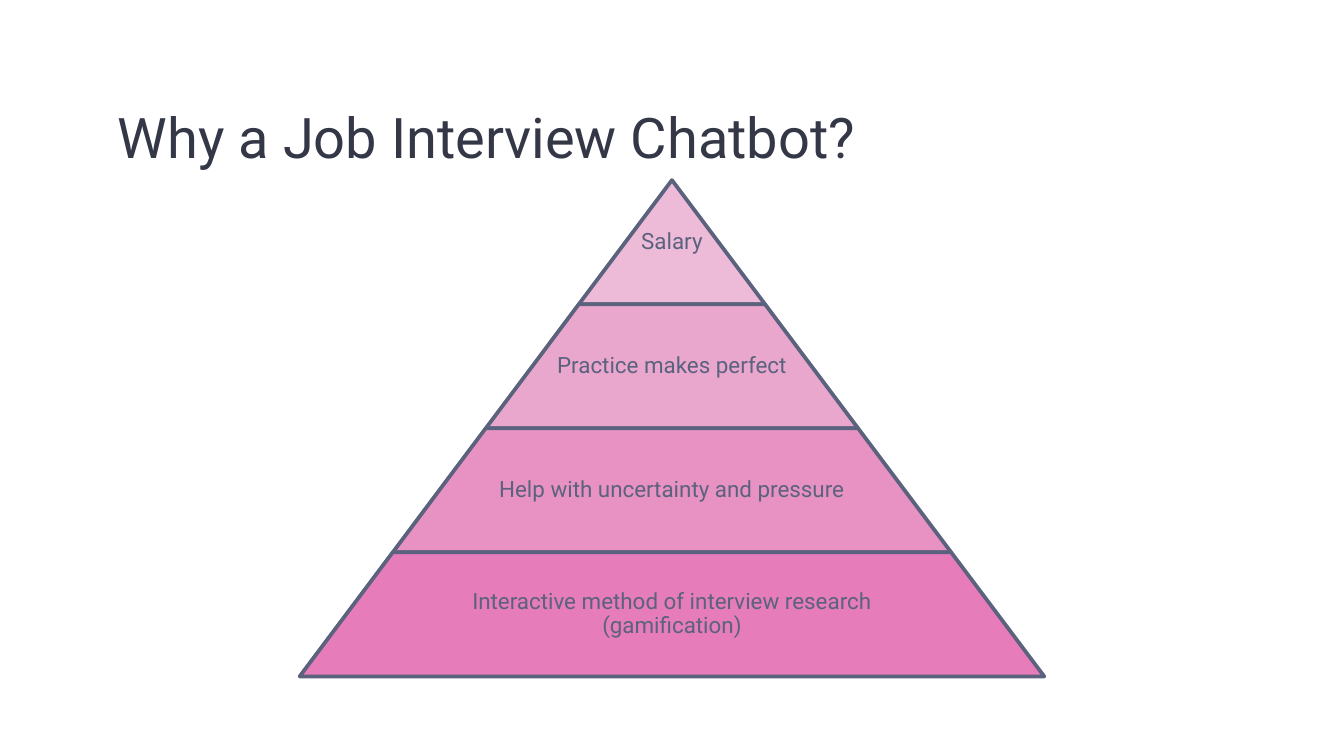
from pptx import Presentation
from pptx import util as u
from pptx.dml.color import RGBColor
from pptx.enum import shapes, text

TITLE = "Why a Job Interview Chatbot?"
# Label, fill, label width as a share of the tier's width
TIERS = [
    ("Salary", "EDBBD8", 1),
    ("Practice makes perfect", "EAA7CE", 0.65),
    ("Help with uncertainty and pressure", "E892C3", 0.65),
    ("Interactive method of interview research (gamification)", "E67CB9", 0.65),
]
FONT, TITLE_COLOR, TIER_COLOR = "Roboto", "333746", "5B627D"
SLIDE_W = 10
SLIDE_H = SLIDE_W * 9 / 16
CENTER, PYRAMID_TOP, BASE_W = SLIDE_W / 2, 1.34, 5.54
PYRAMID_H = BASE_W * 2 / 3
TIER_H = PYRAMID_H / len(TIERS)
STEP_W = BASE_W / len(TIERS)


def color(value):
    return RGBColor.from_string(value)


def add_text(parent, words, box, size, hue, inset, spacing, align, anchor):
    tf = parent.add_textbox(*map(u.Inches, box)).text_frame
    tf.word_wrap = True
    tf.vertical_anchor = anchor
    tf.margin_left = tf.margin_right = u.Inches(inset)
    tf.margin_top = tf.margin_bottom = u.Inches(inset)
    p = tf.paragraphs[0]
    p.alignment, p.line_spacing = align, spacing
    r = p.add_run()
    r.text = words
    r.font.name, r.font.size = FONT, u.Pt(size)
    r.font.color.rgb = color(hue)


def add_tier(parent, row, label, fill, share):
    width = STEP_W * (row + 1)
    top = PYRAMID_TOP + row * TIER_H
    box = (CENTER - width / 2, top, width, TIER_H)
    sp = parent.add_shape(shapes.MSO_SHAPE.TRAPEZOID, *map(u.Inches, box))
    sp.adjustments[0] = STEP_W / 2 / TIER_H
    sp.shadow.inherit = False
    sp.fill.solid()
    sp.fill.fore_color.rgb = color(fill)
    sp.line.color.rgb = color(TIER_COLOR)
    sp.line.width = u.Pt(2)
    label_w = width * share
    add_text(parent, label, (CENTER - label_w / 2, top, label_w, TIER_H), 12,
             TIER_COLOR, 0.02, 0.9, text.PP_ALIGN.CENTER, text.MSO_ANCHOR.MIDDLE)


prs = Presentation()
prs.slide_width, prs.slide_height = u.Inches(SLIDE_W), u.Inches(SLIDE_H)
s = prs.slides.add_slide(prs.slide_layouts[6])
add_text(s.shapes, TITLE, (0.78, 0.59, 8.44, 0.77), 30, TITLE_COLOR,
         0.1, 1.15, text.PP_ALIGN.LEFT, text.MSO_ANCHOR.TOP)
pyramid = s.shapes.add_group_shape()
for row, tier in enumerate(TIERS):
    add_tier(pyramid.shapes, row, *tier)
prs.save("out.pptx")
